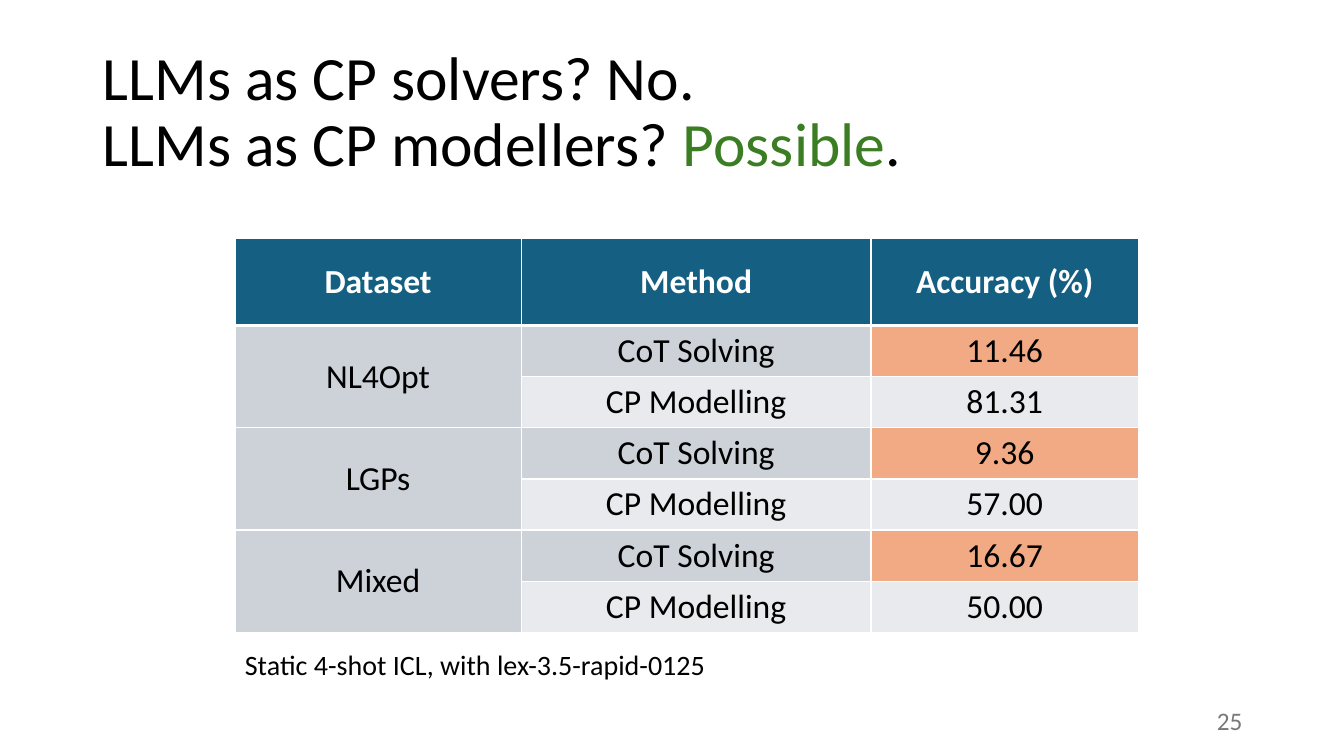
"""Build the slide comparing LLMs as CP solvers and CP modellers."""
from pptx import Presentation
from pptx.dml.color import RGBColor
from pptx.enum import text as t
from pptx.oxml import parse_xml
from pptx.oxml.ns import nsdecls
from pptx.util import Inches, Pt

HUES = {"ink": "000000", "white": "FFFFFF", "green": "3B7D23", "head": "156082",
        "dark": "CCD2D8", "light": "E8EAED", "low": "F2AA84", "grey": "797979"}


def style(para, size, hue, align=t.PP_ALIGN.LEFT, bold=False):
    """Set the font and alignment of a paragraph."""
    para.alignment = align
    font = para.font
    font.name, font.size, font.bold = "Calibri", Pt(size), bold
    font.color.rgb = RGBColor.from_string(HUES[hue])


def paint(cell, words, fill, hue="ink", bold=False, base=1):
    """Fill, border and label one table cell."""
    props = cell._tc.get_or_add_tcPr()
    for side, width in (("L", 1), ("R", 1), ("T", 1), ("B", base)):
        props.append(parse_xml(
            f'<a:ln{side} {nsdecls("a")} w="{Pt(width)}"><a:solidFill>'
            f'<a:srgbClr val="{HUES["white"]}"/></a:solidFill></a:ln{side}>'))
    cell.fill.solid()
    cell.fill.fore_color.rgb = RGBColor.from_string(HUES[fill])
    cell.vertical_anchor = t.MSO_ANCHOR.MIDDLE
    cell.text = words
    style(cell.text_frame.paragraphs[0], 24, hue, t.PP_ALIGN.CENTER, bold)


deck = Presentation()
deck.slide_width, deck.slide_height = Inches(13.33), Inches(7.5)
slide = deck.slides.add_slide(deck.slide_layouts[5])

title = slide.shapes.title
title.left, title.top = Inches(0.92), Inches(0.4)
title.width, title.height = Inches(11.5), Inches(1.45)
frame = title.text_frame
frame.auto_size = t.MSO_AUTO_SIZE.NONE
frame.vertical_anchor = t.MSO_ANCHOR.MIDDLE
para = frame.paragraphs[0]
para.line_spacing = 0.9
style(para, 44, "ink")
para.add_run().text = "LLMs as CP solvers? No."
para.add_line_break()
para.add_run().text = "LLMs as CP modellers? "
word = para.add_run()
word.text = "Possible"
word.font.color.rgb = RGBColor.from_string(HUES["green"])
para.add_run().text = "."

scores = [("NL4Opt", "11.46", "81.31"), ("LGPs", "9.36", "57.00"),
          ("Mixed", "16.67", "50.00")]
grid = slide.shapes.add_table(7, 3, Inches(2.33), Inches(2.37),
                              Inches(8.96), Inches(3.86)).table
for col, width in zip(grid.columns, (2.84, 3.47, 2.65)):
    col.width = Inches(width)
for row, height in zip(grid.rows, [0.86] + [0.5] * 6):
    row.height = Inches(height)
for i, label in enumerate(("Dataset", "Method", "Accuracy (%)")):
    paint(grid.cell(0, i), label, "head", "white", True, 3)
for i, (name, solve, model) in enumerate(scores):
    top = 2 * i + 1
    grid.cell(top, 0).merge(grid.cell(top + 1, 0))
    paint(grid.cell(top, 0), name, "dark")
    paint(grid.cell(top + 1, 0), "", "dark")
    paint(grid.cell(top, 1), "CoT Solving", "dark")
    paint(grid.cell(top, 2), solve, "low")
    paint(grid.cell(top + 1, 1), "CP Modelling", "light")
    paint(grid.cell(top + 1, 2), model, "light")

notes = [
    ("Static 4-shot ICL, with lex-3.5-rapid-0125", (2.33, 6.37, 7.71, 0.44),
     20, "ink", t.PP_ALIGN.LEFT, t.MSO_ANCHOR.TOP),
    ("25", (9.42, 6.95, 3, 0.4), 18, "grey", t.PP_ALIGN.RIGHT, t.MSO_ANCHOR.MIDDLE),
]
for words, place, size, hue, align, anchor in notes:
    frame = slide.shapes.add_textbox(*map(Inches, place)).text_frame
    frame.word_wrap = True
    frame.vertical_anchor = anchor
    frame.text = words
    style(frame.paragraphs[0], size, hue, align)

deck.save("out.pptx")
